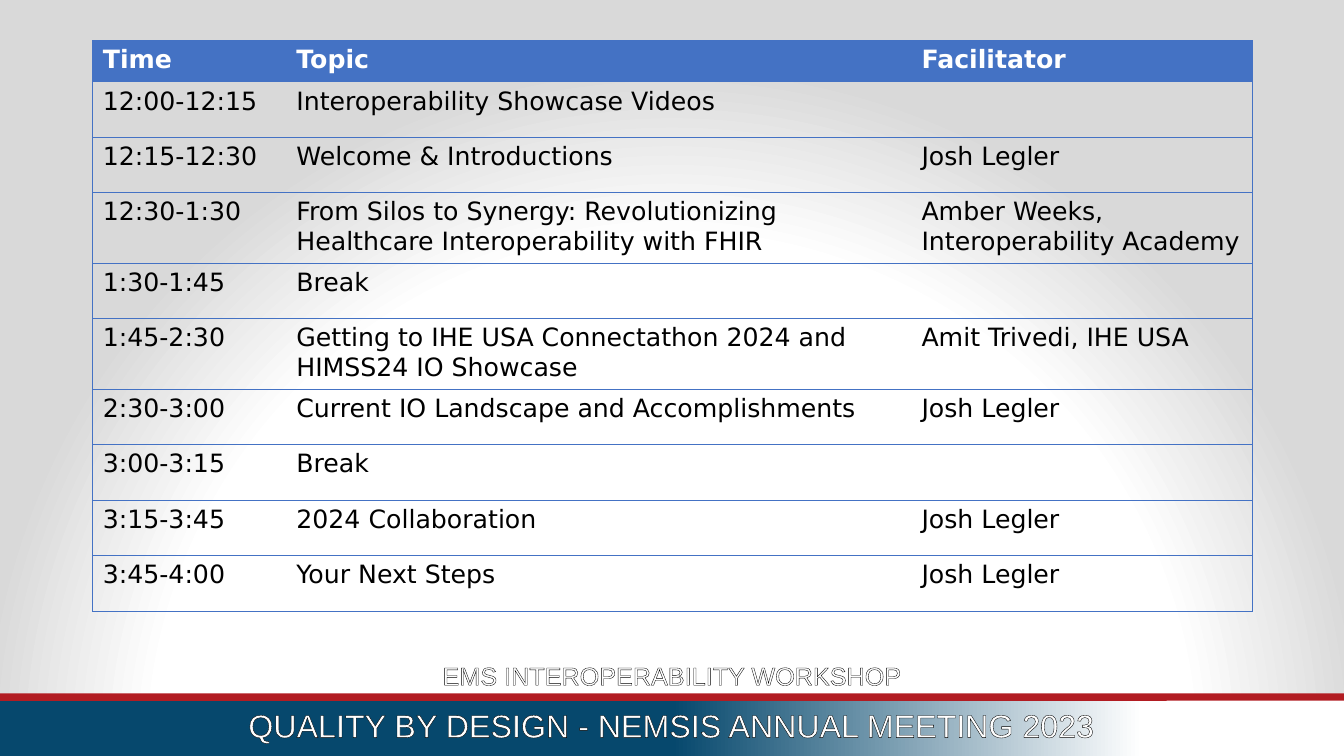
from lxml import etree
from pptx import Presentation
from pptx import util as u
from pptx.dml.color import RGBColor
from pptx.enum import shapes, text
from pptx.oxml import parse_xml
from pptx.oxml.ns import nsdecls, qn

W, H = 13.33, 7.5
MARGIN = 0.92
COLORS = {"white": "FFFFFF", "grey": "D9D9D9", "red": "B21C22", "navy": "06486D",
          "blue": "4472C4", "black": "000000"}
COLUMNS = [1.92, 6.2, 3.38]
HEADER_ROW, BODY_ROW = 0.41, 0.55
NO_STYLE = "{2D5ABB26-0587-4C30-8999-92F81FD0307C}"
AGENDA = [
    ("Time", "Topic", "Facilitator"),
    ("12:00-12:15", "Interoperability Showcase Videos", ""),
    ("12:15-12:30", "Welcome & Introductions", "Josh Legler"),
    ("12:30-1:30", "From Silos to Synergy: Revolutionizing Healthcare Interoperability with FHIR",
     "Amber Weeks, Interoperability Academy"),
    ("1:30-1:45", "Break", ""),
    ("1:45-2:30", "Getting to IHE USA Connectathon 2024 and HIMSS24 IO Showcase",
     "Amit Trivedi, IHE USA"),
    ("2:30-3:00", "Current IO Landscape and Accomplishments", "Josh Legler"),
    ("3:00-3:15", "Break", ""),
    ("3:15-3:45", "2024 Collaboration", "Josh Legler"),
    ("3:45-4:00", "Your Next Steps", "Josh Legler"),
]


def rgb(name):
    """Return the named colour."""
    return RGBColor.from_string(COLORS[name])


def line_xml(tag, width, color):
    """Return a solid line element for a cell border or a text outline."""
    return parse_xml(f'<a:{tag} {nsdecls("a")} w="{u.Pt(width)}"><a:solidFill>'
                     f'<a:srgbClr val="{COLORS[color]}"/></a:solidFill></a:{tag}>')


def add_panel(slide, box, color=None, stops=None):
    """Add a borderless rectangle with a solid or a left-to-right gradient fill."""
    panel = slide.shapes.add_shape(shapes.MSO_SHAPE.RECTANGLE, *map(u.Inches, box))
    panel.shadow.inherit = False
    panel.line.fill.background()
    if stops:
        panel.fill.gradient()
        panel.fill.gradient_angle = 0
        for stop, (position, name) in zip(panel.fill.gradient_stops, stops):
            stop.position = position
            stop.color.rgb = rgb(name)
    else:
        panel.fill.solid()
        panel.fill.fore_color.rgb = rgb(color)
    return panel


def add_backdrop(slide, box):
    """Add the grey backdrop with its round glow rising from below."""
    backdrop = add_panel(slide, box, stops=[(0.67, "white"), (0.9, "grey")])
    linear = next(backdrop.element.iter(qn("a:lin")))
    glow = parse_xml(f'<a:path {nsdecls("a")} path="circle">'
                     '<a:fillToRect l="50000" t="130000" r="50000" b="-30000"/></a:path>')
    linear.getparent().replace(linear, glow)


def add_outlined_line(slide, box, words, size):
    """Add a centred line of white text with a thin black outline."""
    frame = slide.shapes.add_textbox(*map(u.Inches, box)).text_frame
    frame.word_wrap = True
    frame.text = words
    paragraph = frame.paragraphs[0]
    paragraph.alignment = text.PP_ALIGN.CENTER
    run = paragraph.runs[0]
    run.font.name = "Arial"
    run.font.size = u.Pt(size)
    run.font.color.rgb = rgb("white")
    run.font._element.insert(0, line_xml("ln", 0.75, "black"))


def add_footer(slide, box):
    """Add the red stripe, the fading band and the two event lines."""
    left, top, width, height = box
    stripe = 0.07
    band_top, band_height = top + stripe, height - stripe
    fade_end = 11.57
    add_panel(slide, (left, top, width, 0.56), "red")
    add_panel(slide, (left, band_top, width, band_height),
              stops=[(0.5, "navy"), (0.85, "white")])
    add_panel(slide, (left + fade_end, band_top, width - fade_end, band_height), "white")
    add_outlined_line(slide, (left + MARGIN, band_top, width - 2 * MARGIN, 0.5),
                      "QUALITY BY DESIGN - NEMSIS ANNUAL MEETING 2023", 23)
    workshop = 5.38
    add_outlined_line(slide, (left + (width - workshop) / 2, top - 0.38, workshop, 0.4),
                      "EMS INTEROPERABILITY WORKSHOP", 18)


def format_cell(cell, words, is_header, sides):
    """Fill in one agenda cell and draw the given border sides."""
    cell.text = words
    font = cell.text_frame.paragraphs[0].font
    for run in cell.text_frame.paragraphs[0].runs:
        font = run.font
    font.name = "DejaVu Sans"
    font.size = u.Pt(18)
    font.bold = is_header
    font.color.rgb = rgb("white" if is_header else "black")
    properties = cell._tc.get_or_add_tcPr()
    for side in sides:
        properties.append(line_xml(f"ln{side}", 0.5, "blue"))
    if is_header:
        cell.fill.solid()
        cell.fill.fore_color.rgb = rgb("blue")
    else:
        cell.fill.background()


def add_agenda(slide, left, top):
    """Add the agenda table, ruled between rows and around the outside."""
    heights = [HEADER_ROW] + [BODY_ROW] * (len(AGENDA) - 1)
    box = map(u.Inches, (left, top, sum(COLUMNS), sum(heights)))
    agenda = slide.shapes.add_table(len(AGENDA), len(COLUMNS), *box).table
    agenda.horz_banding = False
    next(agenda._tbl.iter(qn("a:tableStyleId"))).text = NO_STYLE
    for column, width in zip(agenda.columns, COLUMNS):
        column.width = u.Inches(width)
    for r, (session, height) in enumerate(zip(AGENDA, heights)):
        agenda.rows[r].height = u.Inches(height)
        for c, words in enumerate(session):
            outer = {0: "L", len(COLUMNS) - 1: "R"}.get(c, "")
            format_cell(agenda.cell(r, c), words, r == 0, outer + "TB")


def main():
    """Build the agenda slide."""
    deck = Presentation()
    deck.slide_width, deck.slide_height = u.Inches(W), u.Inches(H)
    slide = deck.slides.add_slide(deck.slide_layouts[6])
    add_backdrop(slide, (0, 0, W, H))
    add_footer(slide, (0, 6.88, W, H - 6.88))
    add_agenda(slide, MARGIN, 0.4)
    deck.save("out.pptx")


if __name__ == "__main__":
    main()
